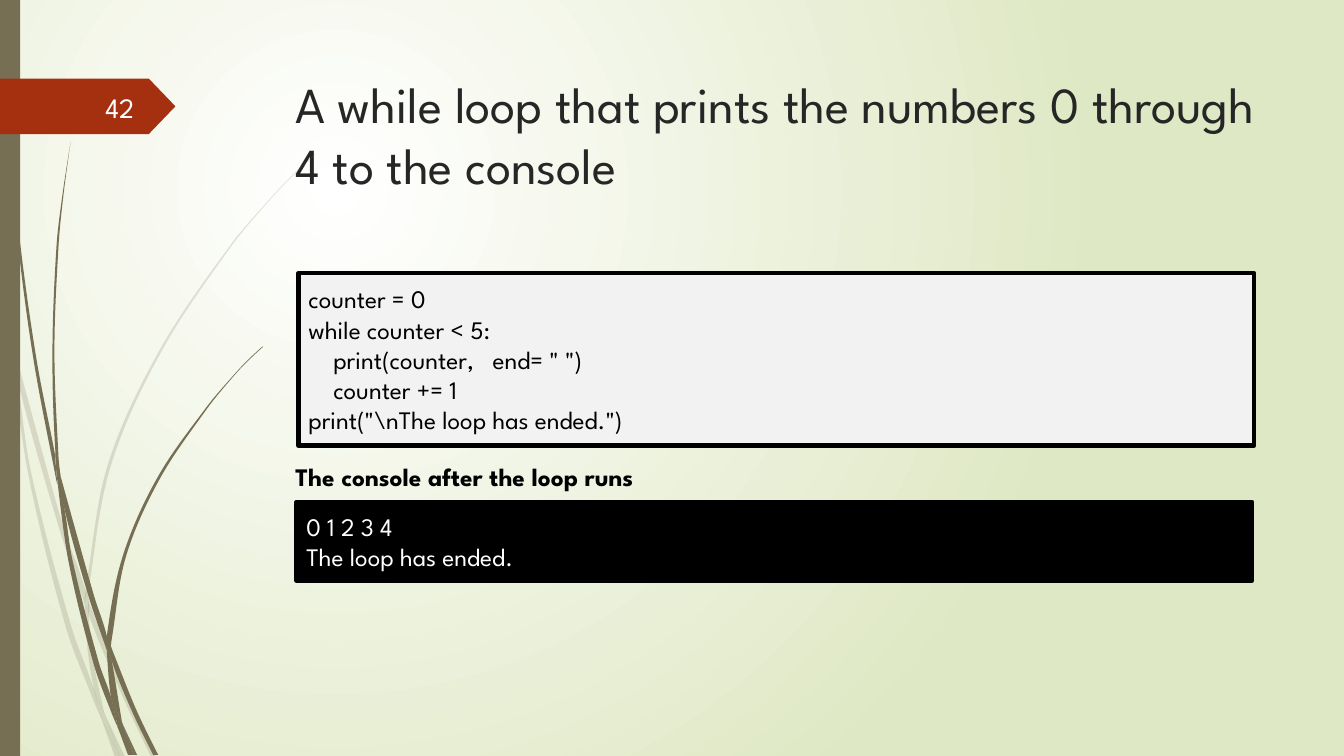
from math import hypot

from lxml import etree
from pptx import Presentation
from pptx.dml.color import RGBColor
from pptx.enum.shapes import MSO_SHAPE as Shape
from pptx.enum.text import MSO_ANCHOR as Anchor, MSO_AUTO_SIZE as AutoSize, PP_ALIGN as Align
from pptx.oxml.ns import qn
from pptx.util import Inches, Pt

FONT = "League Spartan"
COLORS = {
    "glow": "FFFFFF", "sage": "DFE8C4", "olive": "766F54", "rust": "A53010",
    "title": "262626", "number": "FEFFFF", "code": "F2F2F2",
    "black": "000000", "white": "FFFFFF",
}

# Outline points, in inches, of the pieces that make up the blades of grass.
PALE_BLADES = [
    [(.11, 3.5), (.09, 3.22), (0, 2.82), (0, 2.99), (.1, 3.44)],
    [(.58, 5.22), (.84, 5.99), (.85, 5.86), (.62, 5.2), (.14, 3.45), (.17, 3.76)],
    [(.92, 6.07), (.88, 5.96), (.88, 6.1), (1.23, 6.94), (1.5, 7.51), (1.55, 7.51),
     (1.27, 6.92)],
    [(1.19, 7.51), (1.24, 7.51), (1.05, 7.11)],
    [(.93, 6.83), (.7, 6.19), (.31, 4.69), (.17, 3.76), (.11, 3.5), (.28, 4.7),
     (.65, 6.21), (.92, 6.93), (1.01, 7.14), (.99, 7.07)],
    [(.84, 5.99), (.87, 6.46), (.93, 6.83), (.96, 6.92), (1.05, 7.11), (1.03, 7.06),
     (.91, 6.46), (.88, 6.1), (.88, 6.08)],
    [(.88, 5.84), (1.1, 4.62), (1.6, 3.49), (2.29, 2.45), (2.68, 1.98), (2.9, 1.75),
     (3.12, 1.54), (3.12, 1.53), (2.89, 1.75), (2.68, 1.97), (2.28, 2.44),
     (1.58, 3.48), (1.07, 4.61), (.85, 5.84), (.85, 5.86), (.88, 5.96)],
    [(1.01, 7.14), (1.14, 7.51), (1.19, 7.51)],
    [(.88, 6.08), (.88, 6.1), (.88, 5.96), (.85, 5.86), (.84, 5.99)],
    [(.96, 6.92), (.93, 6.83), (.99, 7.07), (1.01, 7.14), (1.19, 7.51), (1.05, 7.11)],
]
DARK_BLADES = [
    [(.07, 1.1), (.17, 2.33), (.33, 3.55), (.56, 4.77), (.57, 4.81), (.55, 4.57),
     (.55, 4.53), (.36, 3.55), (.19, 2.32), (.08, 1.09), (.05, .48), (.04, 0),
     (.03, 0), (.04, .48)],
    [(.88, 5.92), (1.06, 6.45), (1.06, 6.31), (.93, 5.9), (.6, 4.72), (.64, 5.05)],
    [(1.13, 6.49), (1.1, 6.41), (1.11, 6.56), (1.32, 7.08), (1.52, 7.49), (1.57, 7.49),
     (1.36, 7.06)],
    [(1.1, 6.91), (.98, 6.57), (.72, 5.56), (.64, 5.05), (.57, 4.77), (.68, 5.57),
     (.93, 6.59), (1.11, 7.08), (1.17, 7.22), (1.16, 7.17)],
    [(.6, 4.72), (.58, 4.53), (.54, 3.49), (.58, 2.45), (.63, 1.93), (.7, 1.41),
     (.62, 1.93), (.56, 2.45), (.52, 3.49), (.55, 4.49)],
    [(1.33, 7.49), (1.36, 7.49), (1.22, 7.19)],
    [(.57, 4.77), (.64, 5.05), (.6, 4.72), (.55, 4.49), (.55, 4.53)],
    [(1.11, 6.33), (1.25, 5.52), (1.58, 4.76), (2.05, 4.06), (2.31, 3.74), (2.45, 3.59),
     (2.61, 3.44), (2.6, 3.44), (2.45, 3.58), (2.31, 3.73), (2.04, 4.05),
     (1.56, 4.74), (1.22, 5.51), (1.06, 6.31), (1.1, 6.41)],
    [(1.17, 7.22), (1.27, 7.49), (1.31, 7.49)],
    [(1.06, 6.45), (1.1, 6.91), (1.16, 7.06), (1.22, 7.19), (1.21, 7.16), (1.11, 6.56),
     (1.09, 6.51)],
    [(1.06, 6.45), (1.09, 6.51), (1.11, 6.56), (1.1, 6.41), (1.06, 6.31)],
    [(1.16, 7.06), (1.1, 6.91), (1.16, 7.17), (1.17, 7.22), (1.3, 7.49), (1.33, 7.49),
     (1.22, 7.19)],
]
CODE = [
    "counter = 0",
    "while counter < 5:",
    '    print(counter,   end= " ")',
    "    counter += 1",
    'print("\\nThe loop has ended.")',
]
CONSOLE = ["0 1 2 3 4", "The loop has ended."]


def rgb(name):
    return RGBColor.from_string(COLORS[name])


def paint(shape, fill, line=None):
    shape.shadow.inherit = False
    shape.fill.solid()
    shape.fill.fore_color.rgb = rgb(fill)
    if line:
        shape.line.color.rgb = rgb(line)
        shape.line.width = Pt(3)
    else:
        shape.line.fill.background()


def write(shape, lines, size, color, anchor=Anchor.MIDDLE, align=Align.LEFT, bold=False):
    frame = shape.text_frame
    frame.text = "\n".join(lines)
    frame.word_wrap = True
    frame.auto_size = AutoSize.NONE
    frame.vertical_anchor = anchor
    for paragraph in frame.paragraphs:
        paragraph.alignment = align
        paragraph.space_before = Pt(0)
        for run in paragraph.runs:
            run.font.name = FONT
            run.font.size = Pt(size)
            run.font.bold = bold
            run.font.color.rgb = rgb(color)


def place(shape, left, top, width, height):
    shape.left, shape.top = Inches(left), Inches(top)
    shape.width, shape.height = Inches(width), Inches(height)


def glow_background(slide):
    """Radial gradient centred a quarter of the way in from the top left."""
    fill = slide.background.fill
    fill.gradient()
    for stop, color in zip(fill.gradient_stops, ("glow", "sage")):
        stop.color.rgb = rgb(color)
    gradient = slide.element.xpath("./p:cSld/p:bg/p:bgPr/a:gradFill")[0]
    radial = etree.Element(qn("a:path"), path="circle")
    etree.SubElement(radial, qn("a:fillToRect"),
                     l="50000", t="50000", r="100000", b="100000")
    gradient.replace(gradient.find(qn("a:lin")), radial)


def direction(start, end):
    dx, dy = end[0] - start[0], end[1] - start[1]
    length = hypot(dx, dy) or 1
    return dx / length, dy / length


def bend(shape):
    """Turn the straight sides into curves, keeping sharp corners sharp."""
    sides = shape.element.xpath(".//a:lnTo")
    ends = shape.element.xpath(".//a:moveTo/a:pt | .//a:lnTo/a:pt")
    points = [(int(end.get("x")), int(end.get("y"))) for end in ends]
    if points[-1] == points[0]:
        points.pop()
    tangents = []
    for index, point in enumerate(points):
        before, after = points[index - 1], points[(index + 1) % len(points)]
        (ax, ay), (bx, by) = direction(before, point), direction(point, after)
        is_smooth = ax * bx + ay * by > .8
        tangents.append(direction(before, after) if is_smooth else (0, 0))
    for index, side in enumerate(sides):
        following = (index + 1) % len(points)
        (x1, y1), (x2, y2) = points[index], points[following]
        (u1, v1), (u2, v2) = tangents[index], tangents[following]
        reach = hypot(x2 - x1, y2 - y1) / 3
        side.tag = qn("a:cubicBezTo")
        controls = [(x1 + u1 * reach, y1 + v1 * reach), (x2 - u2 * reach, y2 - v2 * reach)]
        for position, (x, y) in enumerate(controls):
            side.insert(position, etree.Element(qn("a:pt"), x=str(round(x)), y=str(round(y))))


def grass(slide, blades, opacity=None):
    for blade in blades:
        outline = [(Inches(x), Inches(y)) for x, y in blade]
        builder = slide.shapes.build_freeform(*outline[0])
        builder.add_line_segments(outline[1:] + outline[:1], close=True)
        shape = builder.convert_to_shape()
        paint(shape, "olive")
        bend(shape)
        if opacity:
            color = shape.element.spPr.find(qn("a:solidFill"))[0]
            etree.SubElement(color, qn("a:alpha"), val=str(opacity * 1000))


def panel(slide, preset, fill, *box, line=None):
    shape = slide.shapes.add_shape(preset, *map(Inches, box))
    paint(shape, fill, line)
    return shape


def number_tag(slide, left, top, width, height):
    tag = panel(slide, Shape.PENTAGON, "rust", left, top, width, height)
    tag.adjustments[0] = .48
    number = slide.shapes.add_textbox(Inches(left + .58), Inches(top + .08),
                                      Inches(.85), Inches(.4))
    write(number, ["42"], 20, "number", align=Align.RIGHT)


def console_label(slide, *box):
    label = slide.placeholders[1]
    place(label, *box)
    write(label, ["The console after the loop runs"], 18, "black", bold=True)
    properties = label.text_frame.paragraphs[0]._p.get_or_add_pPr()
    properties.set("marL", "0")
    properties.set("indent", "0")
    etree.SubElement(properties, qn("a:buNone"))


def main():
    deck = Presentation()
    deck.slide_width, deck.slide_height = Inches(13.33), Inches(7.5)
    slide = deck.slides.add_slide(deck.slide_layouts[1])
    glow_background(slide)
    grass(slide, PALE_BLADES, opacity=20)
    grass(slide, DARK_BLADES)
    panel(slide, Shape.RECTANGLE, "olive", 0, 0, .2, 7.5)
    number_tag(slide, 0, .78, 1.74, .55)
    place(slide.shapes.title, 2.83, .68, 9.75, 1.4)
    write(slide.shapes.title, ["A while loop that prints the numbers 0 through 4 to the console"],
          36, "title", Anchor.TOP)
    code = panel(slide, Shape.RECTANGLE, "code", 2.96, 2.71, 9.48, 1.71, line="black")
    write(code, CODE, 18, "black")
    console_label(slide, 2.83, 4.53, 9.75, .4)
    console = panel(slide, Shape.RECTANGLE, "black", 2.94, 4.98, 9.48, .78, line="black")
    write(console, CONSOLE, 18, "white")
    deck.save("out.pptx")


if __name__ == "__main__":
    main()
